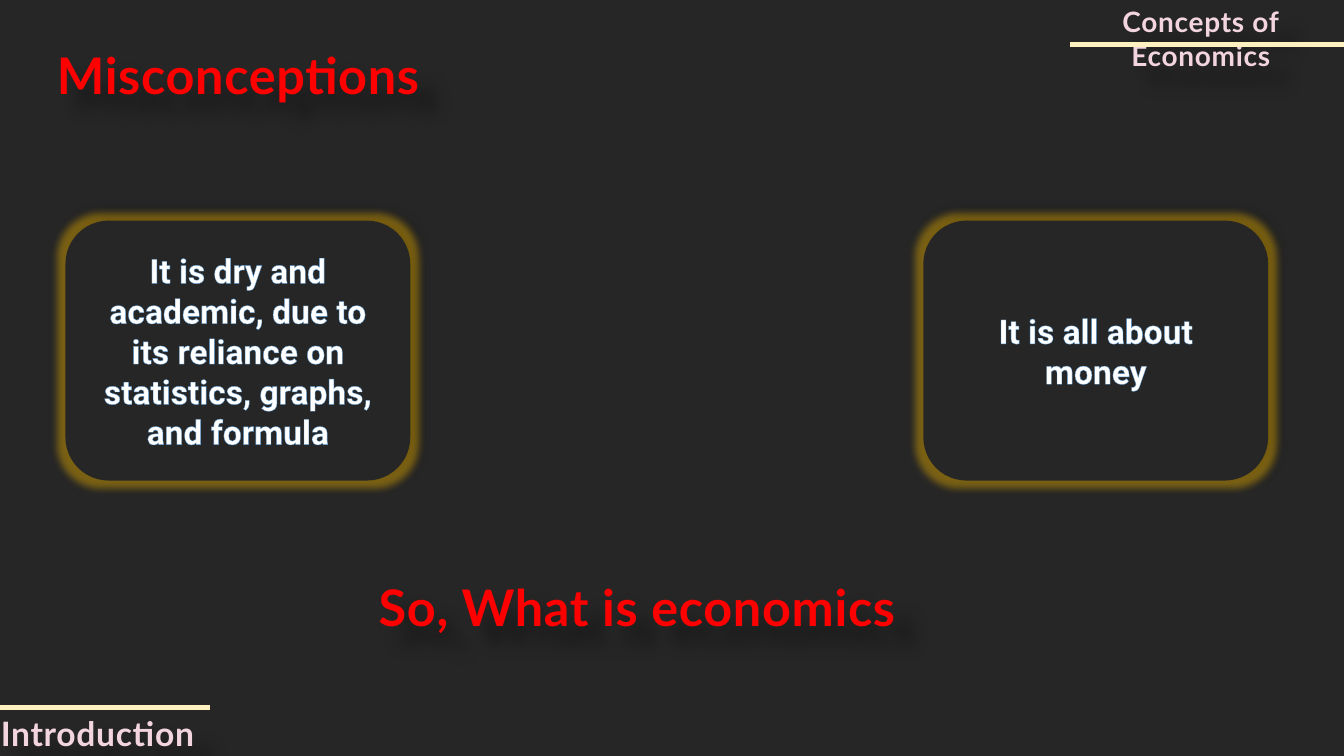
from lxml.etree import SubElement as Sub
from pptx import Presentation
from pptx.dml.color import RGBColor as Rgb
from pptx.enum.shapes import MSO_CONNECTOR as Conn, MSO_SHAPE as Kind
from pptx.enum.text import MSO_ANCHOR as Anchor, MSO_AUTO_SIZE as Auto, PP_ALIGN as Align
from pptx.oxml.ns import qn
from pptx.util import Cm, Pt

HUES = {
    "back": "262626", "red": "FF0000", "white": "FFFFFF", "pink": "F3D5E0",
    "cream": "FFF0C1", "gold": "FFC000", "black": "000000",
    "blue": "4472C4", "sky": "5B9BD5",
}


def hue(name):
    return Rgb.from_string(HUES[name])


def effect(box, tag, name, alpha, **size):
    """Add one effect to the shape's effect list."""
    props = box._element.spPr
    group = props.find(qn("a:effectLst"))
    if group is None:
        group = Sub(props, qn("a:effectLst"))
    item = Sub(group, qn(tag), {key: str(int(val)) for key, val in size.items()})
    color = Sub(item, qn("a:srgbClr"), val=HUES[name])
    Sub(color, qn("a:alpha"), val=str(alpha * 1000))


def write(box, text, size, name, font, edge, width, space=0):
    """Fill the box with one centred, outlined run."""
    frame = box.text_frame
    frame.word_wrap = True
    para = frame.paragraphs[0]
    para.alignment = Align.CENTER
    para.line_spacing = 1.0
    para.space_before = Pt(0)
    run = para.add_run()
    run.text = text
    run.font.size = Pt(size)
    run.font.bold = True
    run.font.name = font
    run.font.color.rgb = hue(name)
    props = run.font._element
    if space:
        props.set("spc", str(int(space * 100)))
    line = Sub(props, qn("a:ln"), w=str(Pt(width)))
    props.insert(0, line)
    fill = Sub(line, qn("a:solidFill"))
    Sub(fill, qn("a:srgbClr"), val=HUES[edge])


def label(box, text, size, name):
    """Style a free heading with a soft shadow below it."""
    write(box, text, size, name, "Lato", "blue", 0.75, 0.5)
    box.text_frame.vertical_anchor = Anchor.TOP
    box.text_frame.auto_size = Auto.SHAPE_TO_FIT_TEXT
    effect(box, "a:outerShdw", "black", 40,
           blurRad=Pt(12), dist=Pt(18), dir=45 * 60000)


def card(slide, left, text):
    """Add a rounded card with a gold glow."""
    box = slide.shapes.add_shape(Kind.ROUNDED_RECTANGLE,
                                 Cm(left), Cm(5.56), Cm(8.69), Cm(6.55))
    box.shadow.inherit = False
    box.fill.solid()
    box.fill.fore_color.rgb = hue("back")
    box.line.fill.background()
    effect(box, "a:glow", "gold", 40, rad=Pt(11))
    effect(box, "a:outerShdw", "black", 40,
           blurRad=Pt(4), dist=Pt(3), dir=315 * 60000)
    box.text_frame.vertical_anchor = Anchor.MIDDLE
    write(box, text, 24, "white", "Roboto", "sky", 0.8)


def rule(slide, left, right, top):
    """Add a horizontal rule."""
    line = slide.shapes.add_connector(Conn.STRAIGHT,
                                      Cm(left), Cm(top), Cm(right), Cm(top))
    line.line.color.rgb = hue("cream")
    line.line.width = Pt(3)
    Sub(line._element.spPr, qn("a:effectLst"))


def main():
    deck = Presentation()
    deck.slide_width, deck.slide_height = Cm(33.87), Cm(19.05)
    slide = deck.slides.add_slide(deck.slide_layouts[5])
    slide.background.fill.solid()
    slide.background.fill.fore_color.rgb = hue("back")

    # Title
    title = slide.shapes.title
    title.left, title.top = Cm(0.53), Cm(0.99)
    title.width, title.height = Cm(10.95), Cm(1.8)
    label(title, "Misconceptions", 36, "red")

    # Cards
    card(slide, 1.65, "It is dry and academic, due to its reliance on "
                      "statistics, graphs, and formula")
    card(slide, 23.27, "It is all about money")

    # Question and corner labels
    for text, size, name, spot in (
        ("So, What is economics", 36, "red", (8.1, 14.4, 15.93, 1.8)),
        ("Introduction", 24, "pink", (-0.36, 17.83, 5.64, 1.27)),
        ("Concepts of Economics", 20, "pink", (26.67, 0, 7.19, 1.12)),
    ):
        box = slide.shapes.add_textbox(*map(Cm, spot))
        label(box, text, size, name)

    # Corner rules
    rule(slide, 26.97, 33.87, 1.12)
    rule(slide, 0, 5.28, 17.83)

    deck.save("out.pptx")


if __name__ == "__main__":
    main()
